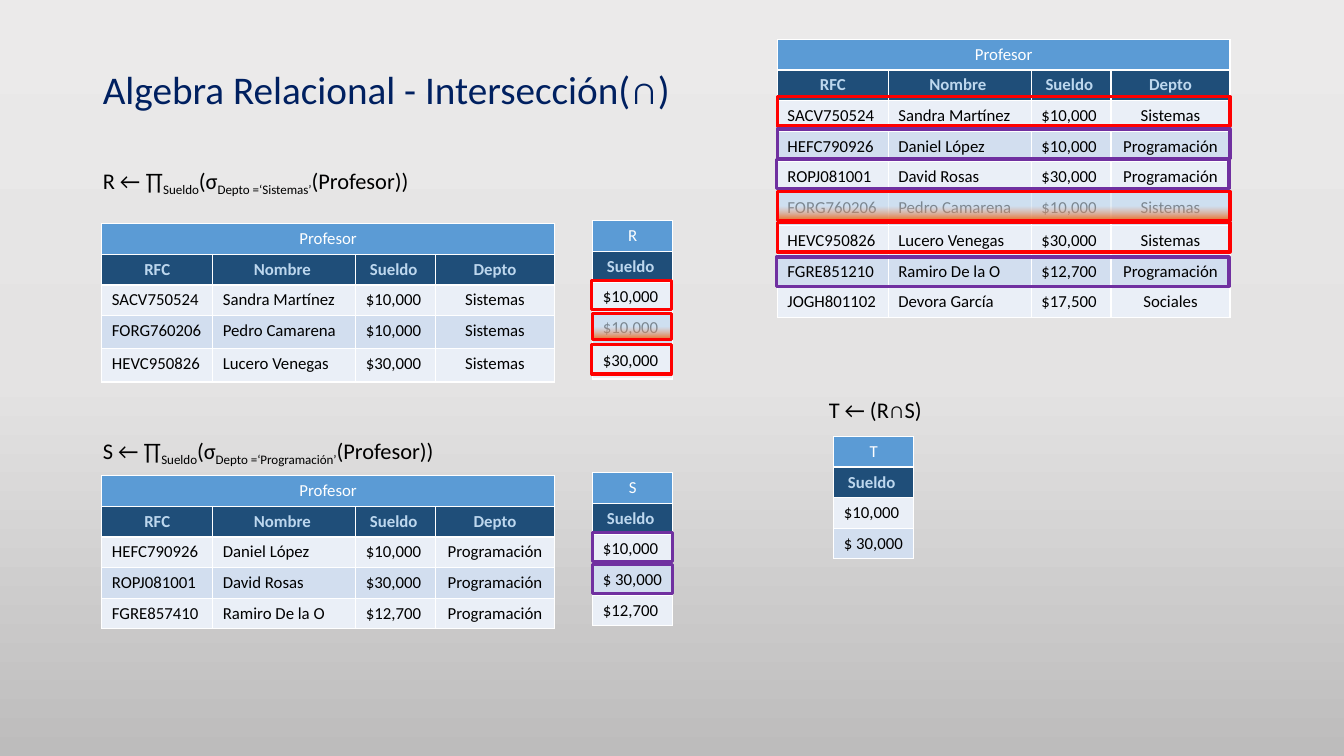
import dataclasses

import lxml.etree
import pptx
import pptx.dml.color
import pptx.enum.shapes
import pptx.enum.text
import pptx.oxml.ns
import pptx.util

qn = pptx.oxml.ns.qn
Align = pptx.enum.text.PP_ALIGN


@dataclasses.dataclass(frozen=True)
class Theme:
    font: str = "Calibri"
    title_size: int = 28
    formula_size: int = 16
    table_size: int = 12
    title: str = "002060"
    ink: str = "000000"
    white: str = "FFFFFF"
    caption_fill: str = "5B9BD5"
    header_fill: str = "1F4E79"
    header_ink: str = "BDD7EE"
    bands: tuple = ("EAEFF7", "D2DEEF")
    red: str = "FF0000"
    purple: str = "7030A0"
    background: tuple = ((0, "EBEAEA", 100), (50, "E4E3E3", 100), (100, "BDBCBC", 100))
    veil: tuple = ((0, "EC6920", 100), (50, "CEE1F2", 60))


def rgb(color):
    return pptx.dml.color.RGBColor.from_string(color)


def write(paragraph, text, size, color, font, bold=False, align=Align.LEFT, spacing=None, before=0):
    paragraph.alignment = align
    paragraph.space_before = pptx.util.Pt(before)
    paragraph.line_spacing = spacing
    for index, part in enumerate(text.split("|")):
        run = paragraph.add_run()
        run.text = part
        run.font.size = pptx.util.Pt(size)
        run.font.name = font
        run.font.bold = bold
        run.font.color.rgb = rgb(color)
        if index % 2:
            run.font._element.set("baseline", "-25000")


def set_gradient(fill, holder, stops, angle):
    fill.gradient()
    gradient = holder.find(".//" + qn("a:gradFill"))
    stop_list = gradient.find(qn("a:gsLst"))
    for stop in list(stop_list):
        stop_list.remove(stop)
    for position, color, opacity in stops:
        stop = lxml.etree.SubElement(stop_list, qn("a:gs"), pos=str(position * 1000))
        value = lxml.etree.SubElement(stop, qn("a:srgbClr"), val=color)
        if opacity < 100:
            lxml.etree.SubElement(value, qn("a:alpha"), val=str(opacity * 1000))
    gradient.find(qn("a:lin")).set("ang", str(angle * 60000))


class SlideBuilder:
    CELL = 0.1

    def __init__(self, presentation, theme):
        self.theme = theme
        self.slide = presentation.slides.add_slide(presentation.slide_layouts[1])
        background = self.slide.background
        set_gradient(background.fill, self.slide.element, theme.background, 90)

    def grid(self, *counts):
        return [pptx.util.Inches(count * self.CELL) for count in counts]

    def place(self, placeholder, *area):
        placeholder.left, placeholder.top, placeholder.width, placeholder.height = self.grid(*area)
        placeholder.text_frame.auto_size = pptx.enum.text.MSO_AUTO_SIZE.NONE
        placeholder.text_frame.word_wrap = True
        return placeholder.text_frame

    def title(self, text, *area):
        frame = self.place(self.slide.shapes.title, *area)
        frame.vertical_anchor = pptx.enum.text.MSO_ANCHOR.MIDDLE
        write(frame.paragraphs[0], text, self.theme.title_size, self.theme.title,
              self.theme.font, spacing=0.9)

    def formulas(self, lines, *area):
        frame = self.place(self.slide.placeholders[1], *area)
        frame.vertical_anchor = pptx.enum.text.MSO_ANCHOR.TOP
        for index, (text, before, indent) in enumerate(lines):
            paragraph = frame.add_paragraph() if index else frame.paragraphs[0]
            write(paragraph, text, self.theme.formula_size, self.theme.ink, self.theme.font,
                  spacing=0.9, before=before)
            properties = paragraph._p.get_or_add_pPr()
            properties.set("marL", str(self.grid(indent)[0]))
            properties.set("indent", "0")
            lxml.etree.SubElement(properties, qn("a:buNone"))

    def cell(self, cell, text, fill, color, bold, align):
        cell.fill.solid()
        cell.fill.fore_color.rgb = rgb(fill)
        write(cell.text_frame.paragraphs[0], text, self.theme.table_size, color,
              self.theme.font, bold=bold, align=align)
        properties = cell._tc.get_or_add_tcPr()
        for index, side in enumerate(("lnL", "lnR", "lnT", "lnB")):
            border = lxml.etree.Element(qn("a:" + side), w=str(pptx.util.Pt(1)))
            solid = lxml.etree.SubElement(border, qn("a:solidFill"))
            lxml.etree.SubElement(solid, qn("a:srgbClr"), val=self.theme.white)
            properties.insert(index, border)

    def table(self, left, top, widths, caption, headers, records, tall_rows=()):
        theme = self.theme
        rows = [[caption] + [""] * (len(widths) - 1), headers, *records]
        heights = [3.3 if index in tall_rows else 3 for index in range(len(rows))]
        area = self.grid(left, top, sum(widths), sum(heights))
        table = self.slide.shapes.add_table(len(rows), len(widths), *area).table
        table.first_row = table.horz_banding = False
        for column, width in zip(table.columns, self.grid(*widths)):
            column.width = width
        for row, height in zip(table.rows, self.grid(*heights)):
            row.height = height
        for row_index, values in enumerate(rows):
            if row_index == 0:
                fill, color = theme.caption_fill, theme.white
            elif row_index == 1:
                fill, color = theme.header_fill, theme.header_ink
            else:
                fill, color = theme.bands[row_index % 2], theme.ink
            for column_index, text in enumerate(values):
                centered = row_index < 2 or column_index == 3
                self.cell(table.cell(row_index, column_index), text, fill, color,
                          row_index == 1, Align.CENTER if centered else Align.LEFT)
        if len(widths) > 1:
            table.cell(0, 0).merge(table.cell(0, len(widths) - 1))

    def frame(self, left, top, width, color, height=2.9, veiled=False):
        shape = self.slide.shapes.add_shape(
            pptx.enum.shapes.MSO_SHAPE.RECTANGLE, *self.grid(left, top, width, height))
        shape.shadow.inherit = False
        if veiled:
            set_gradient(shape.fill, shape._element, self.theme.veil, 270)
        else:
            shape.fill.background()
        shape.line.color.rgb = rgb(color)
        shape.line.width = pptx.util.Pt(2.25)


WIDTHS = (11, 14.2, 7.9, 11.8)
HEADERS = ("RFC", "Nombre ", "Sueldo ", "Depto")
TEACHERS = (
    ("SACV750524", "Sandra Martínez", "$10,000", "Sistemas"),
    ("HEFC790926", "Daniel López", "$10,000", "Programación"),
    ("ROPJ081001", "David Rosas", "$30,000", "Programación"),
    ("FORG760206", "Pedro Camarena", "$10,000", "Sistemas"),
    ("HEVC950826", "Lucero Venegas", "$30,000", "Sistemas"),
    ("FGRE851210", "Ramiro De la O", "$12,700", "Programación"),
    ("JOGH801102", "Devora García", "$17,500", "Sociales"),
)
SYSTEMS = [teacher for teacher in TEACHERS if teacher[3] == "Sistemas"]
PROGRAMMING = [*TEACHERS[1:3], ("FGRE857410", *TEACHERS[5][1:])]
FORMULAS = (
    ("R ← ∏|Sueldo|(σ|Depto =‘Sistemas’|(Profesor))", 0, 0),
    ("T ← (R∩S)", 146, 72),
    ("S ← ∏|Sueldo|(σ|Depto =‘Programación’|(Profesor))", 10, 0),
)


def main():
    presentation = pptx.Presentation()
    presentation.slide_width = pptx.util.Inches(13.33)
    presentation.slide_height = pptx.util.Inches(7.5)
    theme = Theme()
    builder = SlideBuilder(presentation, theme)

    builder.title("Algebra Relacional - Intersección(∩)", 9.2, 6.1, 65, 6)
    builder.formulas(FORMULAS, 9.2, 16.1, 115, 51.4)

    builder.table(77.1, 3.9, WIDTHS, "Profesor", HEADERS, TEACHERS, tall_rows=(5,))
    builder.table(10.1, 22.2, WIDTHS, "Profesor", HEADERS, SYSTEMS, tall_rows=(3, 4))
    builder.table(10.1, 47.2, WIDTHS, "Profesor", HEADERS, PROGRAMMING)
    for name, left, top, salaries, tall_rows in (
        ("R", 58.8, 21.9, ("$10,000", "$10,000", "$30,000"), (3, 4)),
        ("S", 58.8, 46.9, ("$10,000", "$ 30,000", "$12,700"), ()),
        ("T", 82.7, 43.3, ("$10,000", "$ 30,000"), ()),
    ):
        builder.table(left, top, (7.9,), name, ("Sueldo ",),
                      [(salary,) for salary in salaries], tall_rows)

    for left, width, color, tops in (
        (77.1, 44.9, theme.red, (9.6, 22.1)),
        (77.1, 44.9, theme.purple, (12.8,)),
        (77, 44.9, theme.purple, (15.8, 25.5)),
        (58.7, 7.9, theme.red, (27.8, 34.2)),
        (58.8, 7.9, theme.purple, (52.8, 56)),
    ):
        for top in tops:
            builder.frame(left, top, width, color)
    builder.frame(77.1, 19, 44.9, theme.red, veiled=True)
    builder.frame(58.8, 31.1, 7.8, theme.red, height=2.6, veiled=True)

    presentation.save("out.pptx")


if __name__ == "__main__":
    main()
